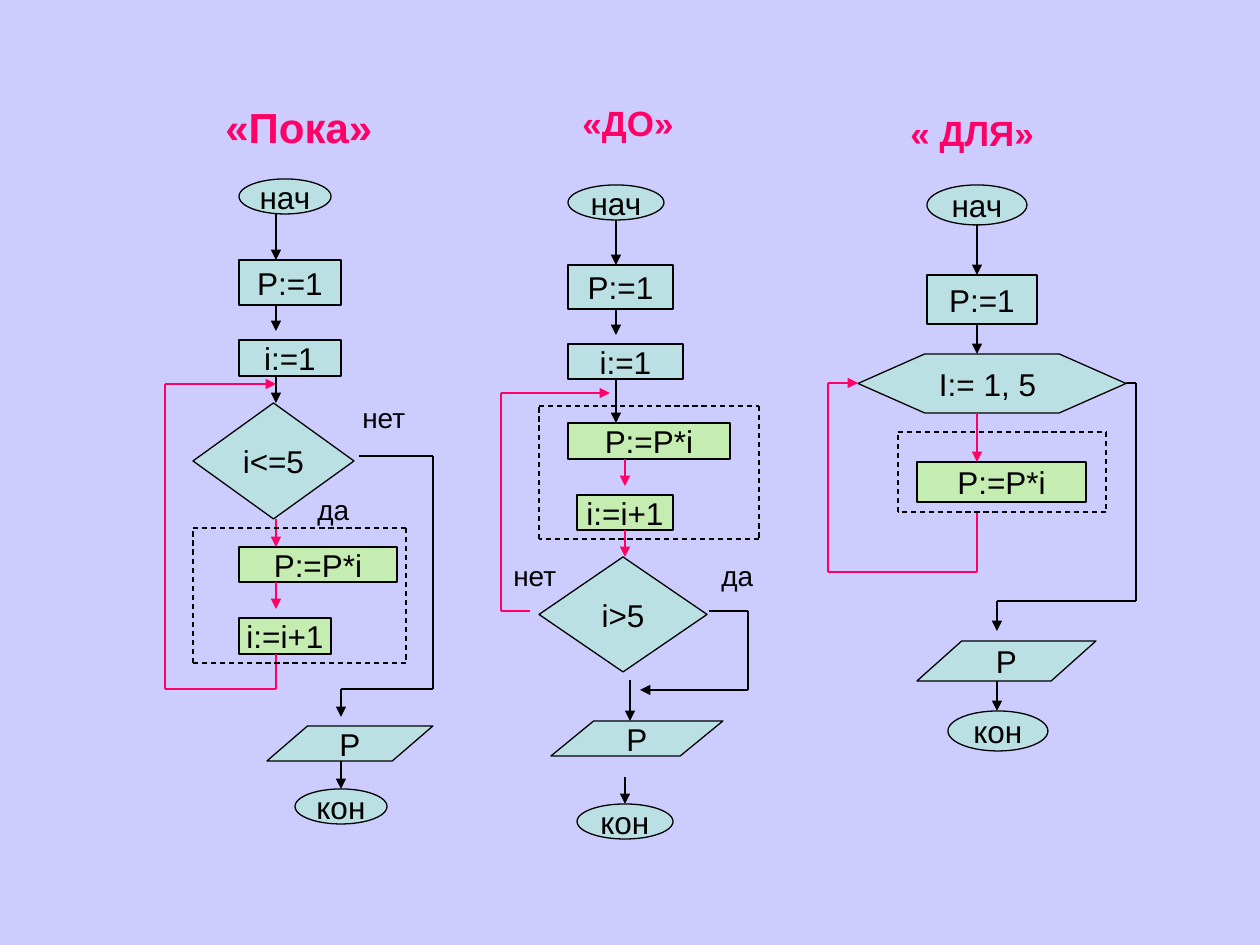
from dataclasses import dataclass

import pptx
import pptx.dml.color
import pptx.enum.dml
import pptx.enum.shapes
import pptx.enum.text
import pptx.oxml
import pptx.oxml.ns
import pptx.util

RGBColor = pptx.dml.color.RGBColor
LAVENDER = RGBColor(0xCC, 0xCC, 0xFF)
BLUE = RGBColor(0xBB, 0xE0, 0xE3)
GREEN = RGBColor(0xC5, 0xED, 0xB1)
PINK = RGBColor(0xFF, 0x00, 0x66)
BLACK = RGBColor(0x00, 0x00, 0x00)

PX_PER_INCH = 126
OUTLINE = pptx.util.Pt(0.75)
SHAPE = pptx.enum.shapes.MSO_SHAPE
ALIGN = pptx.enum.text.PP_ALIGN
ANCHOR = pptx.enum.text.MSO_ANCHOR
FIT = pptx.enum.text.MSO_AUTO_SIZE
BLOCK_FRAME = {"word_wrap": False, "vertical_anchor": ANCHOR.MIDDLE}
LABEL_FRAME = {"vertical_anchor": ANCHOR.TOP, "auto_size": FIT.SHAPE_TO_FIT_TEXT}
BLOCK_FONT = {"name": "Arial", "size": pptx.util.Pt(18)}
ANSWER_FONT = {"name": "Arial", "size": pptx.util.Pt(16)}
HEADING_FONT = {"name": "Arial", "size": pptx.util.Pt(20), "bold": True}
LARGE_HEADING_FONT = HEADING_FONT | {"size": pptx.util.Pt(24)}


@dataclass
class Block:
    text: str
    kind: int
    left: int
    top: int
    width: int
    height: int
    fill: RGBColor = BLUE
    slant: float | None = None


@dataclass
class Route:
    points: list[tuple[int, int]]
    color: RGBColor = BLACK
    arrow: bool = True
    dashed: bool = False


@dataclass
class Label:
    text: str
    left: int
    top: int
    width: int
    height: int
    font: dict
    color: RGBColor = BLACK
    wrap: bool = True


def down(x: int, top: int, bottom: int, color: RGBColor = BLACK) -> Route:
    return Route([(x, top), (x, bottom)], color)


def frame(left: int, top: int, right: int, bottom: int) -> Route:
    corners = [(left, top), (right, top), (right, bottom), (left, bottom), (left, top)]
    return Route(corners, arrow=False, dashed=True)


BLOCKS = [
    Block("нач", SHAPE.OVAL, 239, 179, 92, 35),
    Block("P:=1", SHAPE.RECTANGLE, 239, 260, 102, 45),
    Block("i:=1", SHAPE.RECTANGLE, 239, 340, 102, 36),
    Block("i<=5", SHAPE.DIAMOND, 193, 403, 161, 116),
    Block("P:=P*i", SHAPE.RECTANGLE, 239, 547, 158, 35, GREEN),
    Block("i:=i+1", SHAPE.RECTANGLE, 239, 618, 92, 36, GREEN),
    Block("P", SHAPE.PARALLELOGRAM, 267, 726, 166, 35, slant=1.16),
    Block("кон", SHAPE.OVAL, 295, 789, 92, 35),
    Block("нач", SHAPE.OVAL, 568, 185, 96, 35),
    Block("P:=1", SHAPE.RECTANGLE, 568, 265, 105, 44),
    Block("i:=1", SHAPE.RECTANGLE, 568, 344, 115, 35),
    Block("P:=P*i", SHAPE.RECTANGLE, 568, 423, 162, 36, GREEN),
    Block("i:=i+1", SHAPE.RECTANGLE, 577, 495, 96, 35, GREEN),
    Block("i>5", SHAPE.DIAMOND, 539, 557, 168, 115),
    Block("P", SHAPE.PARALLELOGRAM, 551, 721, 172, 35, slant=1.22),
    Block("кон", SHAPE.OVAL, 577, 804, 96, 35),
    Block("нач", SHAPE.OVAL, 927, 185, 100, 40),
    Block("P:=1", SHAPE.RECTANGLE, 927, 275, 110, 49),
    Block("I:= 1, 5 ", SHAPE.HEXAGON, 858, 354, 268, 59, slant=1.13),
    Block("P:=P*i", SHAPE.RECTANGLE, 917, 462, 169, 40, GREEN),
    Block("P", SHAPE.PARALLELOGRAM, 917, 641, 179, 40, slant=1.12),
    Block("кон", SHAPE.OVAL, 948, 711, 100, 40),
]

ROUTES = [
    down(276, 214, 260),
    down(276, 304, 331),
    down(276, 376, 403),
    down(276, 519, 547, PINK),
    down(276, 582, 609, PINK),
    down(341, 761, 789),
    Route([(359, 456), (433, 456), (433, 689), (341, 689), (341, 717)]),
    Route([(276, 654), (276, 689), (165, 689), (165, 384), (276, 384)], PINK),
    frame(193, 528, 406, 663),
    down(616, 220, 265),
    down(616, 309, 335),
    down(616, 379, 423),
    down(625, 459, 486, PINK),
    down(625, 530, 557, PINK),
    down(630, 680, 721),
    down(625, 777, 804),
    Route([(530, 611), (501, 611), (501, 393), (610, 393)], PINK),
    Route([(709, 611), (748, 611), (748, 690), (640, 690)]),
    frame(539, 406, 759, 539),
    down(977, 224, 275),
    down(977, 324, 354),
    down(977, 413, 462, PINK),
    down(997, 681, 711),
    Route([(977, 512), (977, 572), (828, 572), (828, 383), (858, 383)], PINK),
    Route([(1126, 383), (1136, 383), (1136, 601), (997, 601), (997, 631)]),
    frame(898, 432, 1106, 512),
]

LABELS = [
    Label("«Пока»", 213, 95, 198, 63, LARGE_HEADING_FONT, PINK),
    Label("«ДО»", 570, 95, 118, 55, HEADING_FONT, PINK, wrap=False),
    Label("« ДЛЯ»", 898, 105, 149, 55, HEADING_FONT, PINK, wrap=False),
    Label("нет", 350, 394, 74, 47, ANSWER_FONT),
    Label("да", 305, 486, 83, 47, ANSWER_FONT),
    Label("нет", 501, 552, 90, 47, ANSWER_FONT),
    Label("да", 709, 552, 90, 47, ANSWER_FONT),
]


def scale(*lengths: int) -> list[int]:
    return [round(length * 914400 / PX_PER_INCH) for length in lengths]


def apply(target, values: dict) -> None:
    for name, value in values.items():
        setattr(target, name, value)


def write_text(shape, text: str, font: dict, color: RGBColor, layout: dict, align) -> None:
    apply(shape.text_frame, layout)
    para = shape.text_frame.paragraphs[0]
    para.alignment = align
    span = para.add_run()
    span.text = text
    apply(span.font, font)
    span.font.color.rgb = color


def draw_block(page, block: Block) -> None:
    place = scale(block.left, block.top, block.width, block.height)
    shape = page.shapes.add_shape(block.kind, *place)
    shape.shadow.inherit = False
    if block.slant is not None:
        shape.adjustments[0] = block.slant
    shape.fill.solid()
    shape.fill.fore_color.rgb = block.fill
    shape.line.color.rgb = BLACK
    shape.line.width = OUTLINE
    write_text(shape, block.text, BLOCK_FONT, BLACK, BLOCK_FRAME, ALIGN.CENTER)


def draw_route(page, route: Route) -> None:
    straight = pptx.enum.shapes.MSO_CONNECTOR.STRAIGHT
    for start, end in zip(route.points, route.points[1:]):
        connector = page.shapes.add_connector(straight, *scale(*start, *end))
        connector.line.color.rgb = route.color
        connector.line.width = OUTLINE
        if route.dashed:
            connector.line.dash_style = pptx.enum.dml.MSO_LINE.DASH
        if route.arrow and end == route.points[-1]:
            head = pptx.oxml.parse_xml(f'<a:tailEnd {pptx.oxml.ns.nsdecls("a")} type="triangle"/>')
            connector.line._get_or_add_ln().append(head)
        effects = pptx.oxml.parse_xml(f'<a:effectLst {pptx.oxml.ns.nsdecls("a")}/>')
        connector._element.spPr.append(effects)


def draw_label(page, label: Label) -> None:
    box = page.shapes.add_textbox(*scale(label.left, label.top, label.width, label.height))
    layout = LABEL_FRAME | {"word_wrap": label.wrap}
    write_text(box, label.text, label.font, label.color, layout, ALIGN.LEFT)


def main() -> None:
    deck = pptx.Presentation()
    deck.slide_width, deck.slide_height = scale(1260, 945)
    page = deck.slides.add_slide(deck.slide_layouts[6])
    page.background.fill.solid()
    page.background.fill.fore_color.rgb = LAVENDER
    for draw, items in ((draw_block, BLOCKS), (draw_route, ROUTES), (draw_label, LABELS)):
        for item in items:
            draw(page, item)
    deck.save("out.pptx")


if __name__ == "__main__":
    main()
